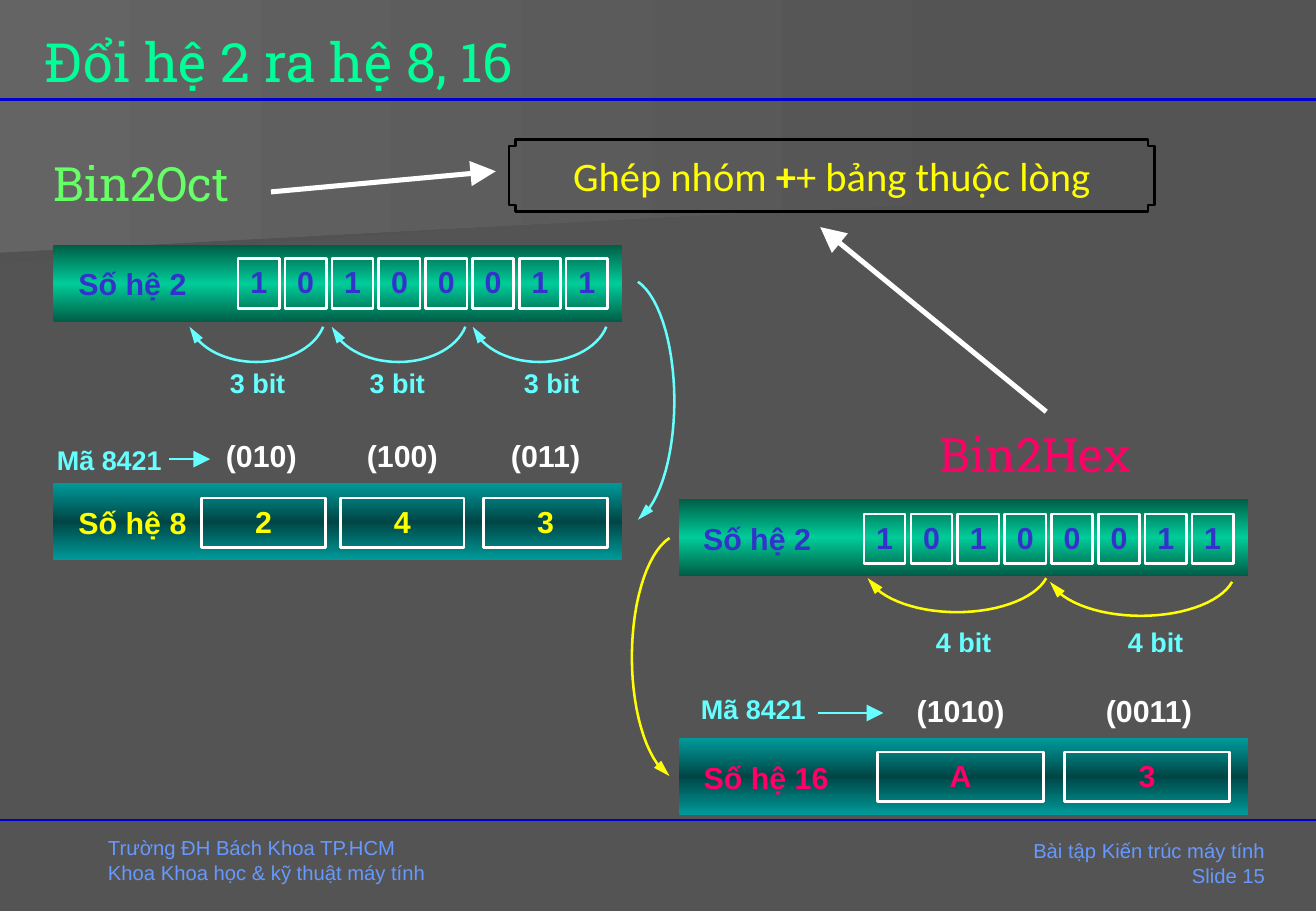
"""Build the slide on converting binary numbers to octal and hexadecimal."""
from copy import deepcopy
from math import cos, radians, sin

from lxml.etree import SubElement
from pptx import Presentation
from pptx.dml.color import RGBColor
from pptx.enum.shapes import MSO_CONNECTOR as CONNECTOR, MSO_SHAPE as SHAPE
from pptx.enum.text import MSO_ANCHOR as ANCHOR, PP_ALIGN as ALIGN
from pptx.oxml.ns import qn
from pptx.util import Inches, Pt

CYAN, YELLOW, WHITE, PINK, BLUE = "66FFFF", "FFFF00", "FFFFFF", "FF0066", "3333CC"
color = RGBColor.from_string


def write(box, lines, size, hue, font="Arial", bold=True, align=ALIGN.CENTER, inset=0.04, anchor=ANCHOR.TOP):
    """Fill a box with paragraphs, each a list of (text, bold) runs or a plain string."""
    frame = box.text_frame
    frame.word_wrap = True
    frame.vertical_anchor = anchor
    frame.margin_left = frame.margin_right = Inches(inset)
    frame.margin_top = frame.margin_bottom = Inches(min(inset, 0.05))
    for number, line in enumerate(lines):
        paragraph = frame.add_paragraph() if number else frame.paragraphs[0]
        paragraph.alignment = align
        paragraph.font.name, paragraph.font.size = font, Pt(size)
        paragraph.font.bold = bold
        paragraph.font.color.rgb = color(hue)
        for text, strong in [(line, None)] if isinstance(line, str) else line:
            run = paragraph.add_run()
            run.text = text
            if strong:
                run.font.bold = True


def stroke(item, hue, width=1.5, head=None):
    """Draw the line of a shape or connector, with an arrowhead of the given width."""
    item.line.color.rgb = color(hue)
    item.line.width = Pt(width)
    properties = item._element.spPr
    if head:
        SubElement(properties.find(qn("a:ln")), qn("a:tailEnd"), type="triangle", w=head, len="lg")
    if properties.find(qn("a:effectLst")) is None:
        SubElement(properties, qn("a:effectLst"))


prs = Presentation()
prs.slide_width, prs.slide_height = Inches(10.83), Inches(7.5)
slide = prs.slides.add_slide(prs.slide_layouts[5])
shapes = slide.shapes
slide.background.fill.solid()
slide.background.fill.fore_color.rgb = color("545454")

gradients = []
for outline, stops in [
    ([(0, 1.01), (8.44, 1.01), (8.43, 1.53), (0, 2.17)], ["525252", "545454"]),
    ([(0, 0), (8.58, 0), (8.58, 1.62), (0, 2.08)], ["646464", "545454"]),
]:
    corners = [(Inches(x), Inches(y)) for x, y in outline]
    builder = shapes.build_freeform(*corners[0])
    builder.add_line_segments(corners[1:])
    gradients.append((builder.convert_to_shape(), stops, 0))

green, teal = ["005E47", "00CC99", "005E47"], ["009999", "004646", "009999"]
for x, y, stops in [(0.44, 2.02, green), (5.59, 4.11, green), (5.59, 6.08, teal), (0.44, 3.98, teal)]:
    bar = shapes.add_shape(SHAPE.RECTANGLE, Inches(x), Inches(y), Inches(4.68), Inches(0.63))
    gradients.append((bar, stops, 90))

for area, stops, angle in gradients:
    area.shadow.inherit = False
    area.line.fill.background()
    area.fill.gradient()
    area.fill.gradient_angle = angle
    stop_list = area._element.spPr.find(qn("a:gradFill")).find(qn("a:gsLst"))
    if len(stops) == 3:
        stop_list.append(deepcopy(stop_list[0]))
    for number, (stop, hue) in enumerate(zip(area.fill.gradient_stops, stops)):
        stop.position = number / (len(stops) - 1)
        stop.color.rgb = color(hue)

title = shapes.title
shapes._spTree.append(title._element)
title.left, title.top, title.width, title.height = Inches(0.27), Inches(0.19), Inches(10.25), Inches(0.63)
write(title, ["Đổi hệ 2 ra hệ 8, 16"], 32, "00FF99", "Roboto Slab", False, ALIGN.LEFT, 0.1, ANCHOR.MIDDLE)

for x1, y1, x2, y2, hue, width, head in [
    (0, 6.75, 10.83, 6.75, "0000CC", 1.5, None),
    (0, 0.82, 10.83, 0.82, "0000CC", 1.5, None),
    (2.23, 1.58, 4.08, 1.41, WHITE, 3, "lg"),
    (8.61, 3.39, 6.75, 1.87, WHITE, 3, "lg"),
    (6.73, 5.87, 7.27, 5.87, CYAN, 1.5, "lg"),
    (1.39, 3.78, 1.73, 3.78, CYAN, 1.5, "lg"),
]:
    line = shapes.add_connector(CONNECTOR.STRAIGHT, Inches(x1), Inches(y1), Inches(x2), Inches(y2))
    stroke(line, hue, width, head)

method = shapes.add_shape(SHAPE.CROSS, Inches(4.19), Inches(1.15), Inches(5.31), Inches(0.59))
method.adjustments[0] = 0.09
method.fill.background()
stroke(method, "000000")
write(method, [[("Ghép nhóm ", False), ("+", True), ("+ bảng thuộc lòng", False)]], 24, YELLOW, "Calibri", False)

cells = [
    (3.98, 4.1, 1.02, "3", YELLOW), (2.8, 4.1, 1.02, "4", YELLOW), (1.66, 4.1, 1.02, "2", YELLOW),
    (8.76, 6.19, 1.36, "3", PINK), (7.22, 6.19, 1.37, "A", PINK),
]
for left, top in [(1.96, 2.13), (7.11, 4.23)]:
    cells += [(left + i * 2.7 / 7, top, 0.34, bit, BLUE) for i, bit in enumerate("10100011")]
for x, y, width, digit, hue in cells:
    cell = shapes.add_shape(SHAPE.RECTANGLE, Inches(x), Inches(y), Inches(width), Inches(0.41))
    cell.fill.background()
    stroke(cell, WHITE)
    write(cell, [digit], 18, hue)

for x, y, width, text, size, hue in [
    (0.48, 2.14, 1.22, "Số hệ 2", 18, BLUE),
    (5.62, 4.24, 1.22, "Số hệ 2", 18, BLUE),
    (0.48, 4.11, 1.22, "Số hệ 8", 18, YELLOW),
    (5.62, 6.21, 1.37, "Số hệ 16", 18, PINK),
    (1.64, 3.56, 1.02, "(010)", 18, WHITE),
    (2.8, 3.56, 1.02, "(100)", 18, WHITE),
    (3.98, 3.56, 1.02, "(011)", 18, WHITE),
    (7.21, 5.66, 1.39, "(1010)", 18, WHITE),
    (8.76, 5.66, 1.39, "(0011)", 18, WHITE),
    (0.36, 3.61, 1.08, "Mã 8421", 16, CYAN),
    (5.58, 5.66, 1.24, "Mã 8421", 16, CYAN),
    (1.8, 2.98, 0.64, "3 bit", 16, CYAN),
    (2.95, 2.98, 0.64, "3 bit", 16, CYAN),
    (4.22, 2.98, 0.64, "3 bit", 16, CYAN),
    (7.61, 5.11, 0.64, "4 bit", 16, CYAN),
    (9.19, 5.11, 0.64, "4 bit", 16, CYAN),
]:
    label = shapes.add_textbox(Inches(x), Inches(y), Inches(width), Inches(0.37))
    write(label, [text], size, hue)

for x, y, heading, hue in [(0.44, 1.27, "Bin2Oct", "66FF66"), (7.73, 3.5, "Bin2Hex", PINK)]:
    box = shapes.add_textbox(Inches(x), Inches(y), Inches(2.08), Inches(0.47))
    write(box, [heading], 28, hue, "Roboto Slab", False, ALIGN.LEFT, 0)

school = shapes.add_textbox(Inches(0.79), Inches(6.83), Inches(3.22), Inches(0.5))
write(school, ["Trường ĐH Bách Khoa TP.HCM", "Khoa Khoa học & kỹ thuật máy tính"],
      12, "6699FF", bold=False, align=ALIGN.LEFT, inset=0.1)
course = shapes.add_textbox(Inches(7.65), Inches(6.86), Inches(2.86), Inches(0.49))
write(course, ["Bài tập Kiến trúc máy tính", "Slide 15"],
      12, "6699FF", bold=False, align=ALIGN.RIGHT, inset=0.1, anchor=ANCHOR.MIDDLE)

for x1, y1, x2, y2, bulge_x, bulge_y, hue in [
    (2.66, 2.69, 1.56, 2.69, 0, 0.29, CYAN),
    (3.83, 2.69, 2.73, 2.69, 0, 0.29, CYAN),
    (4.99, 2.69, 3.89, 2.69, 0, 0.29, CYAN),
    (8.61, 4.76, 7.14, 4.76, 0, 0.28, YELLOW),
    (10.14, 4.79, 8.64, 4.79, 0, 0.28, YELLOW),
    (5.25, 2.32, 5.25, 4.28, 0.3, 0, CYAN),
    (5.51, 4.43, 5.51, 6.39, -0.31, 0, YELLOW),
]:
    points = []
    for degrees in range(15, 166, 5):
        along = cos(radians(degrees)) / cos(radians(15))
        out = (sin(radians(degrees)) - sin(radians(15))) / (1 - sin(radians(15)))
        points.append((Inches((x1 + x2) / 2 + along * (x1 - x2) / 2 + out * bulge_x),
                       Inches((y1 + y2) / 2 + along * (y1 - y2) / 2 + out * bulge_y)))
    builder = shapes.build_freeform(*points[0])
    builder.add_line_segments(points[1:], close=False)
    curve = builder.convert_to_shape()
    curve.fill.background()
    stroke(curve, hue, head="med")

prs.save("out.pptx")
